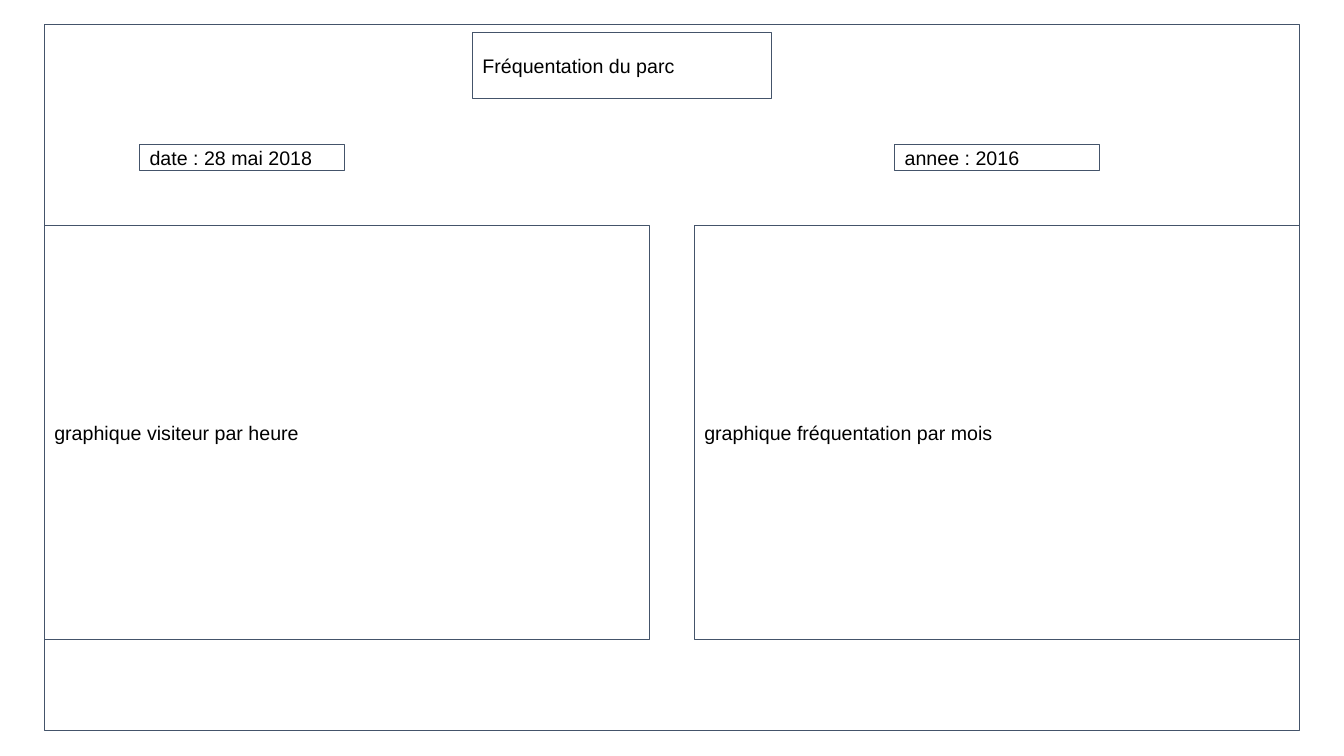
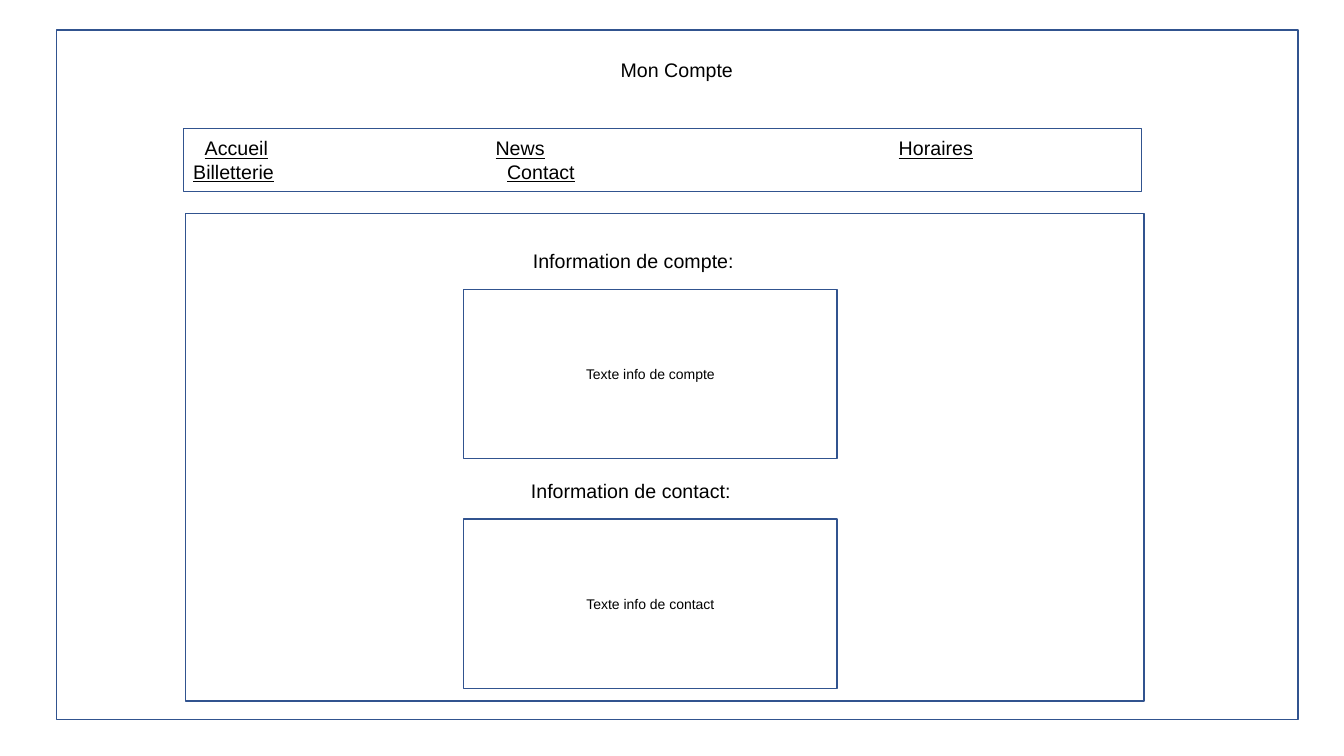
"""Build two wireframe slides: park attendance and customer account."""
from typing import NamedTuple

from lxml.etree import SubElement
from pptx import Presentation
from pptx.dml.color import RGBColor
from pptx.enum.shapes import MSO_SHAPE
from pptx.enum.text import MSO_ANCHOR, PP_ALIGN
from pptx.oxml.ns import qn
from pptx.util import Cm, Pt

SLATE = RGBColor(0x44, 0x54, 0x6A)
BLUE = RGBColor(0x31, 0x53, 0x8F)
BLACK = RGBColor(0x00, 0x00, 0x00)
FONT = "Arial"
INSET = 0.25
HEADING_INDENT = 1.27


class Box(NamedTuple):
    """A rectangle in centimetres."""

    left: float
    top: float
    width: float
    height: float

    def inner(self, left, top, width, height):
        """Return a box placed relative to this one."""
        return Box(self.left + left, self.top + top, width, height)

    def lengths(self):
        """Return the four lengths for python-pptx."""
        return [Cm(value) for value in self]


def prepare_frame(frame, anchor):
    """Set wrapping, insets and anchor of a text frame."""
    frame.word_wrap = True
    frame.vertical_anchor = anchor
    frame.margin_left = frame.margin_right = Cm(INSET)
    frame.margin_top = frame.margin_bottom = Cm(INSET)


def style_paragraph(paragraph, size=14, align=PP_ALIGN.LEFT):
    """Apply the shared font and an alignment."""
    paragraph.alignment = align
    paragraph.font.name = FONT
    paragraph.font.size = Pt(size)
    paragraph.font.color.rgb = BLACK


def add_panel(slide, box, color, text="", weight=0.75, size=14, align=PP_ALIGN.LEFT):
    """Draw an outlined rectangle with optional text and return it."""
    panel = slide.shapes.add_shape(MSO_SHAPE.RECTANGLE, *box.lengths())
    panel.shadow.inherit = False
    panel.fill.background()
    panel.line.color.rgb = color
    panel.line.width = Pt(weight)
    prepare_frame(panel.text_frame, MSO_ANCHOR.MIDDLE)
    if text:
        paragraph = panel.text_frame.paragraphs[0]
        paragraph.text = text
        style_paragraph(paragraph, size, align)
    return panel


def add_heading(slide, box, text, margin=0):
    """Write a heading with an indented first line."""
    frame = slide.shapes.add_textbox(*box.lengths()).text_frame
    prepare_frame(frame, MSO_ANCHOR.TOP)
    paragraph = frame.paragraphs[0]
    paragraph.text = text
    properties = paragraph._p.get_or_add_pPr()
    properties.set("marL", str(Cm(margin)))
    properties.set("indent", str(Cm(HEADING_INDENT)))
    style_paragraph(paragraph)


def add_menu(slide, box, rows):
    """Draw the menu bar, one row of underlined entries on tab stops per paragraph."""
    frame = add_panel(slide, box, BLUE).text_frame
    for index, row in enumerate(rows):
        paragraph = frame.add_paragraph() if index else frame.paragraphs[0]
        stops = SubElement(paragraph._p.get_or_add_pPr(), qn("a:tabLst"))
        for entry, position in row:
            if position:
                SubElement(stops, qn("a:tab"), pos=str(Cm(position)), algn="l")
                paragraph.add_run().text = "\t"
            run = paragraph.add_run()
            run.text = entry
            run.font.underline = True
        style_paragraph(paragraph)


def add_account_section(slide, box, heading, text, heading_shift):
    """Draw an information box with its heading above."""
    add_heading(slide, box.inner(heading_shift, -1.27, 9.73, 1.42), heading)
    add_panel(slide, box, BLUE, text, weight=1, size=10, align=PP_ALIGN.CENTER)


def build_attendance(slide, page):
    """Lay out the attendance page."""
    add_panel(slide, page, SLATE)
    add_panel(slide, page.inner(10.79, 0.2, 7.54, 1.68), SLATE, "Fréquentation du parc")
    for left, text in ((2.4, "date : 28 mai 2018"), (21.43, "annee : 2016")):
        add_panel(slide, page.inner(left, 3.04, 5.16, 0.65), SLATE, text)
    chart_width = 15.24
    charts = ("graphique visiteur par heure", "graphique fréquentation par mois")
    for left, text in zip((0, page.width - chart_width), charts):
        add_panel(slide, page.inner(left, 5.07, chart_width, 10.44), SLATE, text)


def build_account(slide, page):
    """Lay out the account page."""
    add_panel(slide, page, BLUE, weight=1)
    add_menu(slide, page.inner(3.2, 2.47, 24.16, 1.6), (
        (("Accueil", 0.29), ("News", 7.62), ("Horaires", 17.78)),
        (("Billetterie", 0), ("Contact", 7.91)),
    ))
    add_heading(slide, page.inner(0, 0.46, page.width, 1.42), "Mon Compte", margin=12.7)
    content = page.inner(3.25, 4.62, 24.16, 12.29)
    add_panel(slide, content, BLUE, weight=1)
    sections = (
        ("Information de compte:", "Texte info de compte", 0.23),
        ("Information de contact:", "Texte info de contact", 0.18),
    )
    for index, section in enumerate(sections):
        box = content.inner(7.01, 1.91 + index * 5.79, 9.42, 4.27)
        add_account_section(slide, box, *section)


def main():
    """Create and save the presentation."""
    deck = Presentation()
    deck.slide_width, deck.slide_height = Cm(33.87), Cm(19.05)
    blank = deck.slide_layouts[6]
    build_attendance(deck.slides.add_slide(blank), Box(1.12, 0.61, 31.62, 17.81))
    build_account(deck.slides.add_slide(blank), Box(1.42, 0.76, 31.29, 17.37))
    deck.save("out.pptx")


if __name__ == "__main__":
    main()
